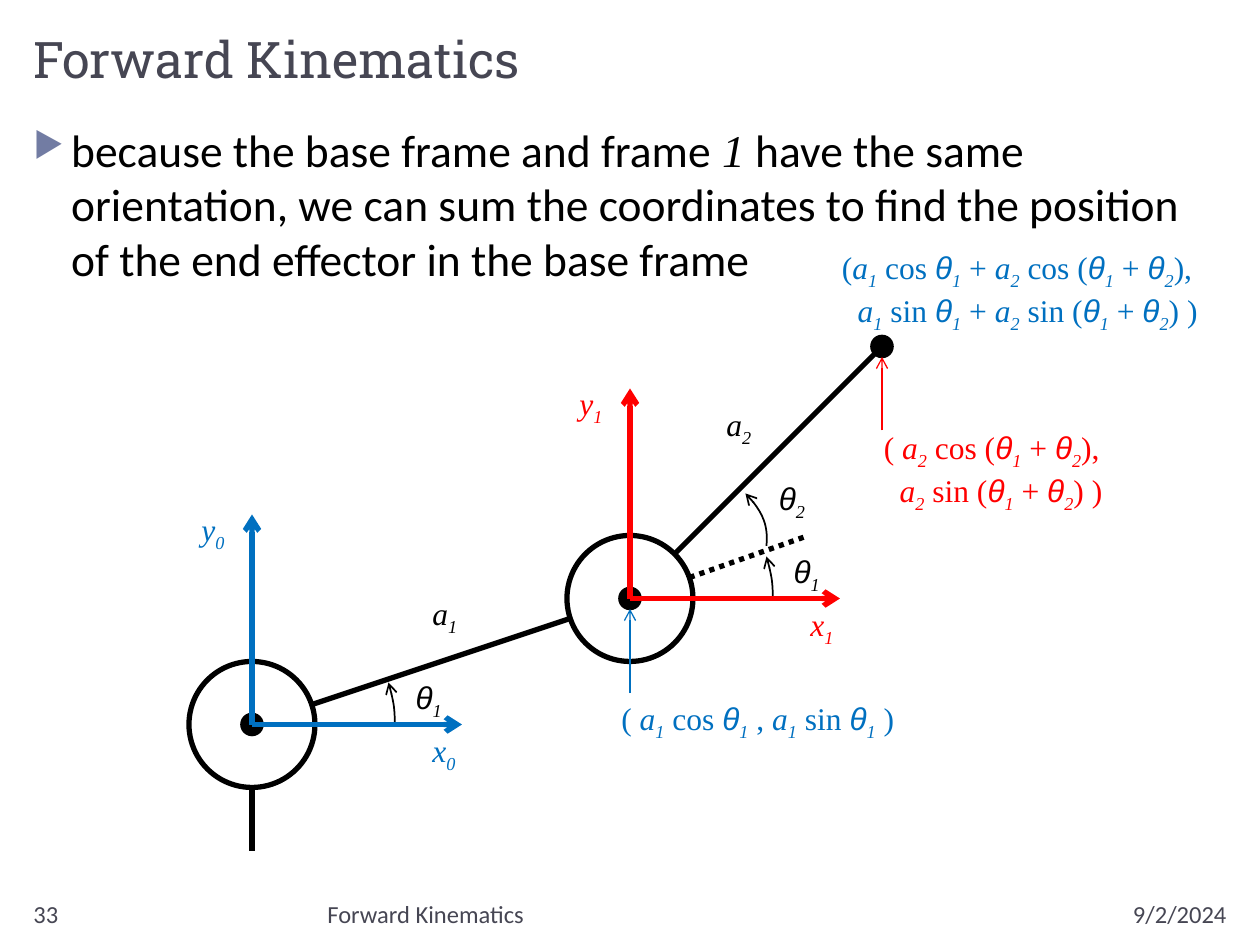
from itertools import groupby

from lxml import etree
from pptx import Presentation
from pptx import util as u
from pptx.dml import color
from pptx.enum import dml, shapes, text
from pptx.oxml import ns

CELL = u.Inches(1) / 12
BLACK, WHITE, BLUE, RED, SLATE = "000000", "FFFFFF", "0070C0", "FF0000", "464653"
SERIF, SANS = "Times New Roman", "Calibri"


def cells(*values):
    return [u.Emu(round(value * CELL)) for value in values]


def rgb(value):
    return color.RGBColor.from_string(value)


def apply(target, values):
    for name, value in values.items():
        setattr(target, name, value)


def add_child(parent, tag, **attributes):
    return etree.SubElement(parent, ns.qn(tag), attributes)


def add_run(paragraph, words, colour, **values):
    run = paragraph.add_run()
    run.text = words
    apply(run.font, values)
    run.font.color.rgb = rgb(colour)
    return run


def add_text_box(slide, box, **values):
    frame = slide.shapes.add_textbox(*cells(*box)).text_frame
    apply(frame, {"word_wrap": True, **values})
    return frame


def set_line(shape, colour, width, dash=None):
    shape.line.fill.solid()
    shape.line.fill.fore_color.rgb = rgb(colour)
    shape.line.width = u.Pt(width)
    if dash:
        shape.line.dash_style = dash


def add_line(slide, start, end, colour=BLACK, width=3, dash=None, arrow=False):
    connector = slide.shapes.add_connector(
        shapes.MSO_CONNECTOR.STRAIGHT, *cells(*start, *end))
    set_line(connector, colour, width, dash)
    if arrow:
        add_child(connector.line._get_or_add_ln(), "a:tailEnd", type="arrow")
    add_child(connector._element.spPr, "a:effectLst")


def add_circle(slide, center, radius, fill, width):
    x, y = center
    shape = slide.shapes.add_shape(
        shapes.MSO_SHAPE.OVAL, *cells(x - radius, y - radius, 2 * radius, 2 * radius))
    shape.shadow.inherit = False
    shape.fill.solid()
    shape.fill.fore_color.rgb = rgb(fill)
    set_line(shape, BLACK, width)


def add_angle_arc(slide, center, points):
    start, *curve = [cells(center[0] + x, center[1] + y) for x, y in points]
    builder = slide.shapes.build_freeform(*start)
    builder.add_line_segments(curve, close=False)
    shape = builder.convert_to_shape()
    shape.shadow.inherit = False
    shape.fill.background()
    set_line(shape, BLACK, 1)
    add_child(shape.line._get_or_add_ln(), "a:headEnd", type="arrow")
    path = shape._element.find(".//" + ns.qn("a:path"))
    bezier = add_child(path, "a:cubicBezTo")
    for segment in path.findall(ns.qn("a:lnTo")):
        bezier.append(segment[0])
        path.remove(segment)


def symbol_kind(character):
    if character.isdigit():
        return "subscript"
    if character == "θ":
        return "angle"
    return "variable" if character in "axy" else "plain"


def add_formula(slide, corner, lines, colour=BLACK, size=(5, 4.8)):
    frame = add_text_box(slide, (*corner, *size), word_wrap=False,
                         auto_size=text.MSO_AUTO_SIZE.SHAPE_TO_FIT_TEXT)
    for number, line in enumerate(lines):
        paragraph = frame.add_paragraph() if number else frame.paragraphs[0]
        if number:
            paragraph._p.get_or_add_pPr().set("marL", str(u.Pt(9)))
        for kind, characters in groupby(line, symbol_kind):
            run = add_run(paragraph, "".join(characters), colour, size=u.Pt(18),
                          name="Arial" if kind == "angle" else SERIF,
                          italic=kind != "plain")
            if kind == "subscript":
                run.font._element.set("baseline", "-25000")


def add_title(slide, box):
    frame = add_text_box(slide, box, vertical_anchor=text.MSO_ANCHOR.BOTTOM)
    add_run(frame.paragraphs[0], "Forward Kinematics", SLATE,
            size=u.Pt(28.8), name="Roboto Slab")


def add_body(slide, box):
    paragraph = add_text_box(slide, box).paragraphs[0]
    properties = paragraph._p.get_or_add_pPr()
    apply_indent = {"marL": u.Inches(0.3), "indent": -u.Inches(0.3)}
    for name, value in apply_indent.items():
        properties.set(name, str(value))
    add_child(add_child(properties, "a:buClr"), "a:srgbClr", val="727CA3")
    add_child(properties, "a:buSzPct", val="76000")
    add_child(properties, "a:buChar", char="▶")
    for words, name in (
            ("because the base frame and frame ", SANS),
            ("1", SERIF),
            (" have the same orientation, we can sum the coordinates to find "
             "the position of the end effector in the base frame", SANS)):
        add_run(paragraph, words, BLACK, size=u.Pt(26), name=name, italic=name == SERIF)


def add_footer(slide, box):
    left, top, width, height = box
    for offset, share, words, alignment in (
            (0, 26, "33", text.PP_ALIGN.LEFT),
            (28, 64, "Forward Kinematics", text.PP_ALIGN.LEFT),
            (width - 22, 22, "9/2/2024", text.PP_ALIGN.RIGHT)):
        paragraph = add_text_box(slide, (left + offset, top, share, height)).paragraphs[0]
        paragraph.alignment = alignment
        add_run(paragraph, words, SLATE, size=u.Pt(14), name=SANS)


def add_joint(slide, center, index, colour, link_label):
    def at(x, y):
        return center[0] + x, center[1] + y

    add_circle(slide, center, 6, WHITE, 3)
    add_circle(slide, center, 1, BLACK, 1.5)
    add_line(slide, at(6, 0), at(18, 0), dash=dml.MSO_LINE.ROUND_DOT)
    add_formula(slide, at(14.4, -5), ["θ1"])
    add_angle_arc(slide, center, [(13, -4), (13.3, -3), (13.6, -1.6), (13.6, 0)])
    for tip, corner, axis in (((0, -20), (-6, -21), "y"), ((20, 0), (16, 0), "x")):
        add_line(slide, center, at(*tip), colour, arrow=True)
        add_formula(slide, at(*corner), [f"{axis}{index}"], colour)
    add_formula(slide, at(*link_label), [f"a{index + 1}"])


def add_arm(slide, box):
    left, top, width, height = box

    def at(x, y):
        return left + x, top + y

    base, elbow, tip = at(6, 47), at(42, 35), at(66, 11)
    add_line(slide, at(6, height), at(6, 48))
    add_line(slide, elbow, (elbow[0] + 17, elbow[1] - 6), dash=dml.MSO_LINE.ROUND_DOT)
    add_line(slide, elbow, tip)
    add_line(slide, base, elbow)
    add_joint(slide, base, 0, BLUE, (16, -13))
    add_joint(slide, elbow, 1, RED, (8, -19))
    add_formula(slide, (elbow[0] + 13, elbow[1] - 12), ["θ2"])
    add_angle_arc(slide, elbow, [(11, -10), (12.2, -8.9), (13.2, -7), (13, -5)])
    add_circle(slide, tip, 1, BLACK, 1.5)
    for point, length, colour in ((elbow, 9, BLUE), (tip, 8, RED)):
        x, y = point
        add_line(slide, (x, y + length), (x, y + 1), colour, 0.75, arrow=True)
    add_formula(slide, at(40, 44), ["( a1 cos θ1 , a1 sin θ1 )"], BLUE, (28.8, 4.8))
    add_formula(slide, at(65, 18.2), ["( a2 cos (θ1 + θ2),", "a2 sin (θ1 + θ2) )"],
                RED, (24.2, 8.5))
    add_formula(slide, at(61, 1), ["(a1 cos θ1 + a2 cos (θ1 + θ2),",
                                   "a1 sin θ1 + a2 sin (θ1 + θ2) )"],
                BLUE, (width - 64, 8.5))


def main():
    presentation = Presentation()
    apply(presentation, {"slide_width": u.Inches(10), "slide_height": u.Inches(7.5)})
    slide = presentation.slides.add_slide(presentation.slide_layouts[6])
    add_title(slide, (2, 2, 116, 7))
    add_footer(slide, (2, 85, 116, 3.2))
    add_body(slide, (2, 11, 116, 72))
    add_arm(slide, (18, 22, 102, 59))
    presentation.save("out.pptx")


if __name__ == "__main__":
    main()
